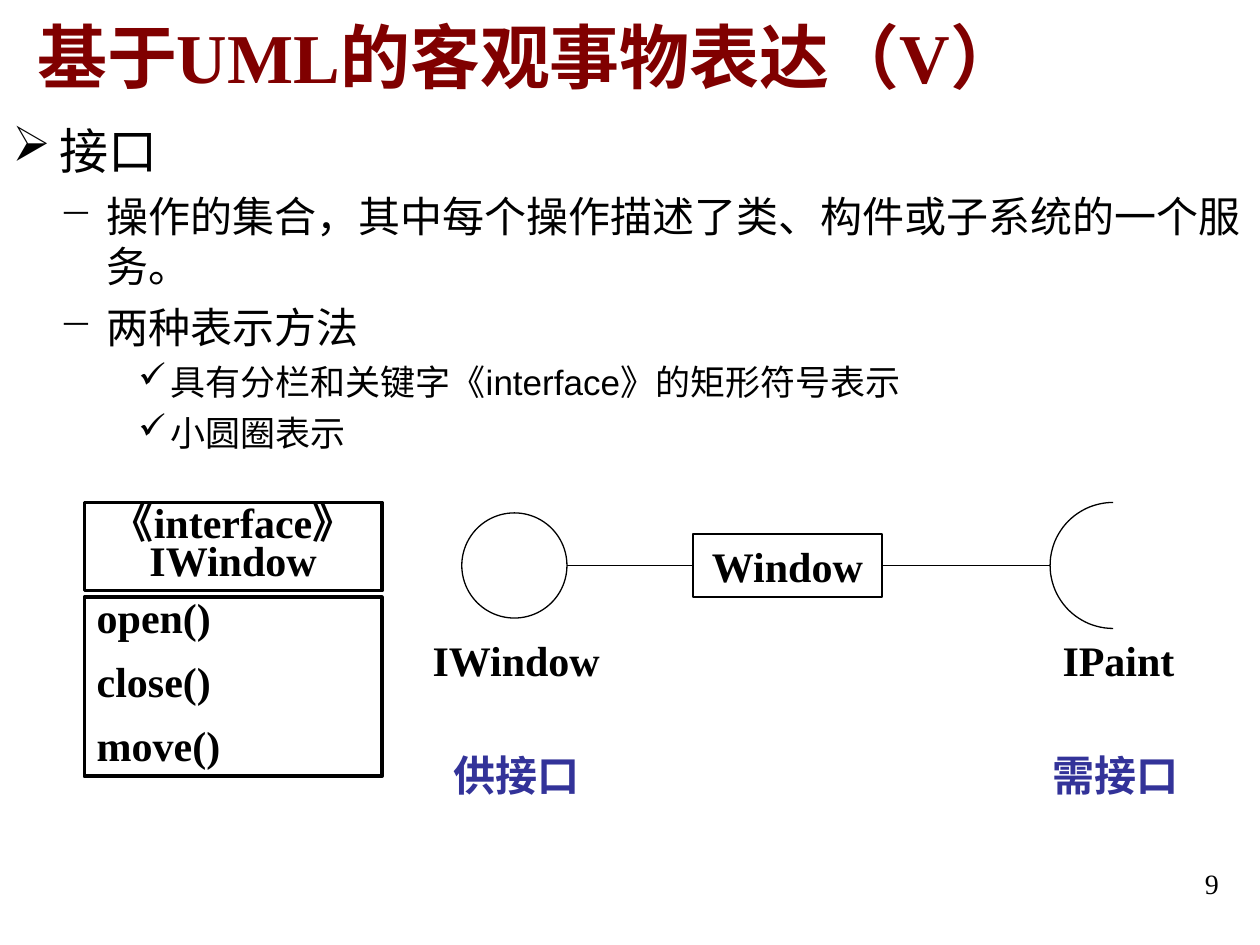
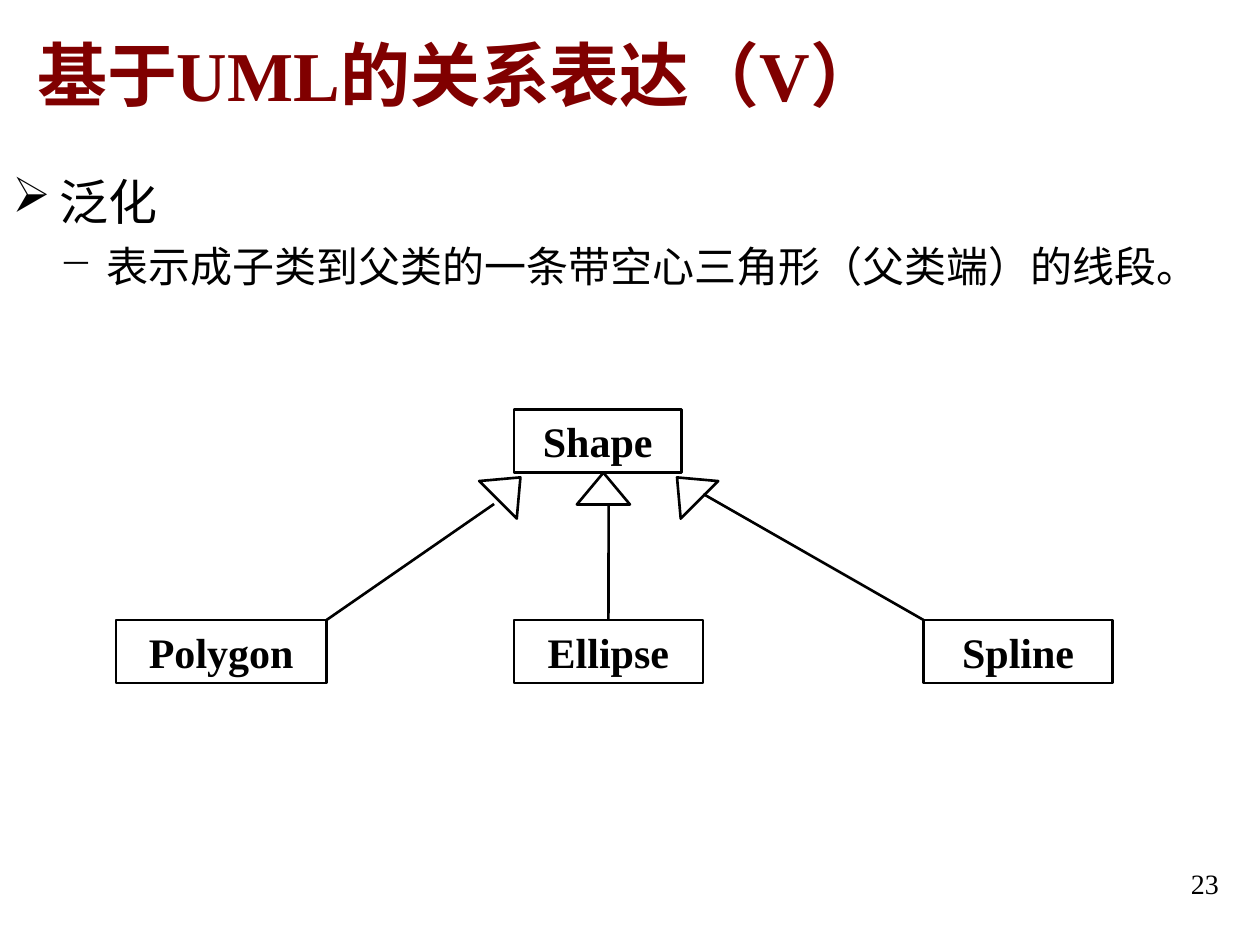
from math import cos, radians, sin

from lxml.etree import SubElement
from pptx import Presentation
from pptx.dml.color import RGBColor
from pptx.enum.shapes import MSO_CONNECTOR as Link, MSO_SHAPE as Kind
from pptx.enum.text import MSO_ANCHOR as Anchor, PP_ALIGN as Align
from pptx.oxml.ns import qn
from pptx.util import Cm, Pt

BLACK = RGBColor(0x00, 0x00, 0x00)
MAROON = RGBColor(0x80, 0x00, 0x00)
INDIGO = RGBColor(0x33, 0x33, 0x99)
SERIF = "Times New Roman"
SANS = "Arial"
LEVELS = [
    ("➢", 0.95, 0.95, 28, 7),
    ("−", 1.9, 0.95, 24, 6),
    ("✓", 3.18, 0.64, 20, 5),
]
BOX_H = 1.27
TIP_W, TIP_H = 1.07, 0.64


def style(para, size, color=BLACK, bold=False, face=SERIF):
    font = para.font
    font.name, font.size, font.bold = face, Pt(size), bold
    font.color.rgb = color


def write(shape, lines, size=24, color=BLACK, bold=True, align=Align.LEFT,
          anchor=Anchor.TOP, pitch=None):
    frame = shape.text_frame
    frame.word_wrap = True
    frame.vertical_anchor = anchor
    for i, line in enumerate(lines):
        para = frame.add_paragraph() if i else frame.paragraphs[0]
        para.text = line
        para.alignment = align
        if pitch:
            para.line_spacing = pitch
        if i:
            para.space_before = Pt(15)
        style(para, size, color, bold)


def label(slide, text, x, y, w, h=BOX_H, **look):
    box = slide.shapes.add_textbox(Cm(x), Cm(y), Cm(w), Cm(h))
    write(box, [text], **look)


def bullet(para, level):
    mark, left, hang, size, gap = LEVELS[level]
    para.level = level
    props = para._p.get_or_add_pPr()
    props.set("marL", str(Cm(left)))
    props.set("indent", str(-Cm(hang)))
    tint = SubElement(props, qn("a:buClr"))
    SubElement(tint, qn("a:srgbClr")).set("val", str(BLACK))
    SubElement(props, qn("a:buChar")).set("char", mark)
    style(para, size, face=SANS)
    return gap


def outline(slide, items, y, h):
    frame = slide.shapes.add_textbox(0, Cm(y), Cm(25.4), Cm(h)).text_frame
    frame.word_wrap = True
    for i, (level, text) in enumerate(items):
        para = frame.add_paragraph() if i else frame.paragraphs[0]
        para.text = text
        gap = bullet(para, level)
        if i:
            para.space_before = Pt(gap)


def ink(shape, width):
    shape.shadow.inherit = False
    shape.fill.background()
    shape.line.color.rgb = BLACK
    shape.line.width = Pt(width)


def draw(slide, kind, x, y, w, h, width, turn=0):
    shape = slide.shapes.add_shape(kind, Cm(x), Cm(y), Cm(w), Cm(h))
    ink(shape, width)
    shape.rotation = turn
    return shape


def node(slide, lines, x, y, w, h=BOX_H, width=1.5, align=Align.CENTER,
         pitch=None):
    box = draw(slide, Kind.RECTANGLE, x, y, w, h, width)
    write(box, lines, align=align, pitch=pitch)
    return box


def wire(slide, start, end, width, box=None, side=0):
    line = slide.shapes.add_connector(Link.STRAIGHT, *map(Cm, start + end))
    line.line.color.rgb = BLACK
    line.line.width = Pt(width)
    SubElement(line._element.spPr, qn("a:effectLst"))
    if box is not None:
        line.begin_connect(box, side)


def arc(slide, x, y, radius, first, last, width):
    steps = 24
    turns = [radians(first + (last - first) * i / steps)
             for i in range(steps + 1)]
    dots = [(Cm(x + radius * cos(t)), Cm(y - radius * sin(t))) for t in turns]
    path = slide.shapes.build_freeform(*dots[0])
    path.add_line_segments(dots[1:], close=False)
    ink(path.convert_to_shape(), width)


def start(deck, title, top, page):
    slide = deck.slides.add_slide(deck.slide_layouts[6])
    label(slide, title, 0.5, top, 25.4, 3.18, size=40, color=MAROON,
          anchor=Anchor.MIDDLE)
    label(slide, page, 18.9, 17.35, 5.92, 1.32, size=16, bold=False,
          align=Align.RIGHT)
    return slide


def ports(deck):
    slide = start(deck, "基于UML的客观事物表达（V）", -0.48, "9")
    outline(slide, [
        (0, "接口"),
        (1, "操作的集合，其中每个操作描述了类、构件或子系统的一个服务。"),
        (1, "两种表示方法"),
        (2, "具有分栏和关键字《interface》的矩形符号表示"),
        (2, "小圆圈表示"),
    ], 2.31, 8.26)
    node(slide, ["《interface》IWindow"], 1.7, 10.13, 6, 1.78, 2, pitch=0.75)
    node(slide, ["open()", "close()", "move()"], 1.7, 12.04, 6, 3.61, 2,
         Align.LEFT, 0.75)

    mid = 11.4
    box = node(slide, ["Window"], 13.97, mid - BOX_H / 2, 3.81, width=0.75)
    wire(slide, (13.97, mid), (11.43, mid), 0.75, box, 1)
    wire(slide, (17.78, mid), (21.17, mid), 0.75, box, 3)
    draw(slide, Kind.OVAL, 9.31, mid - 1.06, 2.12, 2.12, 0.75)
    for first in (90, 180):
        arc(slide, 22.44, mid, 1.27, first, first + 90, 0.75)

    label(slide, "IWindow", 8.47, 12.67, 4.45)
    label(slide, "IPaint", 21.17, 12.67, 3.18)
    label(slide, "供接口", 8.89, 14.99, 3.6, color=INDIGO)
    label(slide, "需接口", 20.96, 14.99, 3.6, color=INDIGO)


def kinds(deck):
    slide = start(deck, "基于UML的关系表达（V）", -0.1, "23")
    outline(slide, [
        (0, "泛化"),
        (1, "表示成子类到父类的一条带空心三角形（父类端）的线段。"),
    ], 3.33, 5.28)
    base = 12.5
    node(slide, ["Shape"], 10.36, 8.26, 3.38)
    node(slide, ["Polygon"], 2.34, base, 4.24)
    child = node(slide, ["Ellipse"], 10.36, base, 3.81)
    node(slide, ["Spline"], 18.62, base, 3.81)
    for x, turn in ((9.73, 45), (11.63, 0), (13.34, 315)):
        draw(slide, Kind.ISOSCELES_TRIANGLE, x, 9.53, TIP_W, TIP_H, 1.5, turn)
    wire(slide, (12.27, base), (12.27, 10.16), 1.5, child, 0)
    wire(slide, (6.58, base), (9.96, 10.16), 1.5)
    wire(slide, (18.62, base), (14.18, 9.96), 1.5)


def main():
    deck = Presentation()
    deck.slide_width, deck.slide_height = Cm(25.4), Cm(19.05)
    ports(deck)
    kinds(deck)
    deck.save("out.pptx")


if __name__ == "__main__":
    main()
